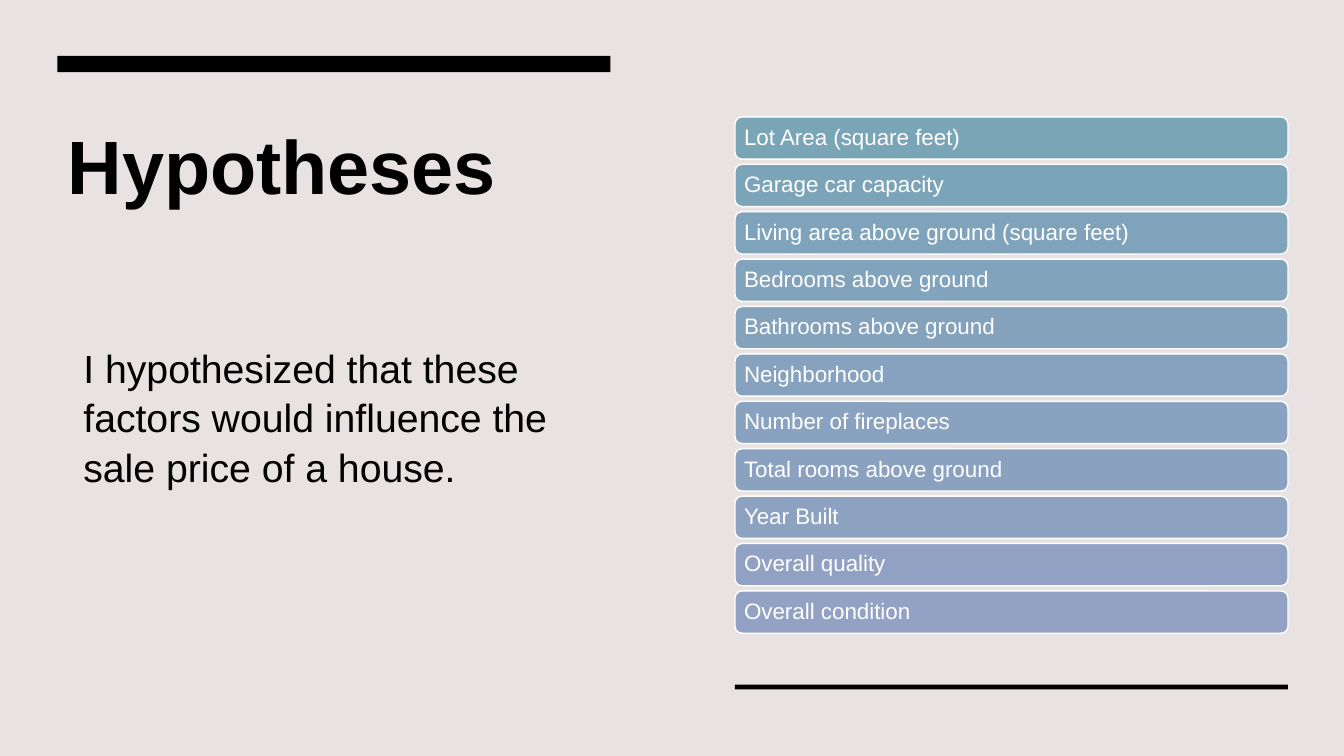
from colorsys import hls_to_rgb, rgb_to_hls
from dataclasses import dataclass

from pptx import Presentation
from pptx.dml.color import RGBColor
from pptx.enum import shapes, text
from pptx.util import Pt


@dataclass(frozen=True)
class Theme:
    """Colours, font and type sizes of the slide."""
    back: str = "E8E2E3"
    ink: str = "000000"
    light: str = "FFFFFF"
    first: str = "7AA5B7"
    last: str = "92A1C4"
    font: str = "Arial"
    title: int = 54
    body: int = 28
    label: int = 16


THEME = Theme()
LEFT, RIGHT, WIDTH = 41, 525, 395
TOP, STEP, HEIGHT = 83.5, 33.86, 30.2
FACTORS = [
    "Lot Area (square feet)",
    "Garage car capacity",
    "Living area above ground (square feet)",
    "Bedrooms above ground",
    "Bathrooms above ground",
    "Neighborhood",
    "Number of fireplaces",
    "Total rooms above ground",
    "Year Built",
    "Overall quality",
    "Overall condition",
]


def paint(fill, color):
    """Give a fill one solid colour."""
    fill.solid()
    fill.fore_color.rgb = RGBColor.from_string(color)


def blend(start, end, part):
    """Mix two colours by hue, lightness and saturation."""
    pair = [rgb_to_hls(*(v / 255 for v in RGBColor.from_string(c)))
            for c in (start, end)]
    mix = [a + (b - a) * part for a, b in zip(*pair)]
    return "".join(f"{round(v * 255):02X}" for v in hls_to_rgb(*mix))


def write(frame, words, size, color, bold=False, space=1.05):
    """Write one left-aligned paragraph as a single run."""
    frame.word_wrap = True
    para = frame.paragraphs[0]
    para.alignment = text.PP_ALIGN.LEFT
    para.line_spacing = space
    run = para.add_run()
    run.text = words
    font = run.font
    font.name, font.size, font.bold = THEME.font, Pt(size), bold
    font.color.rgb = RGBColor.from_string(color)


def place(shape, x, y, w, h):
    """Move and size a shape, in points."""
    shape.left, shape.top, shape.width, shape.height = map(Pt, (x, y, w, h))


def add_block(slide, kind, box, color):
    """Add a plain filled shape without line or shadow."""
    block = slide.shapes.add_shape(kind, *map(Pt, box))
    block.shadow.inherit = False
    paint(block.fill, color)
    block.line.fill.background()
    return block


def add_title(slide, words):
    """Fill the title placeholder."""
    title = slide.shapes.title
    place(title, LEFT, 77, WIDTH, 193)
    frame = title.text_frame
    frame.auto_size = text.MSO_AUTO_SIZE.NONE
    frame.vertical_anchor = text.MSO_ANCHOR.TOP
    frame.margin_top = Pt(5)
    write(frame, words, THEME.title, THEME.ink, bold=True)


def add_note(slide, words):
    """Add the statement under the title."""
    note = slide.shapes.add_textbox(*map(Pt, (52.5, 240.5, 403, 109)))
    write(note.text_frame, words, THEME.body, THEME.ink)


def add_factor(slide, words, top, color):
    """Add one rounded bar with its label."""
    box = (RIGHT, top, WIDTH, HEIGHT)
    bar = add_block(slide, shapes.MSO_SHAPE.ROUNDED_RECTANGLE, box, color)
    paint(bar.line.fill, THEME.light)
    bar.line.width = Pt(1)
    frame = bar.text_frame
    frame.vertical_anchor = text.MSO_ANCHOR.MIDDLE
    frame.margin_left = frame.margin_right = Pt(5)
    frame.margin_top = frame.margin_bottom = Pt(5)
    write(frame, words, THEME.label, THEME.light, space=0.9)


def main():
    """Build and save the slide."""
    deck = Presentation()
    deck.slide_width, deck.slide_height = Pt(960), Pt(540)
    slide = deck.slides.add_slide(deck.slide_layouts.get_by_name("Title Only"))
    paint(slide.background.fill, THEME.back)
    add_title(slide, "Hypotheses")
    for box in ((LEFT, 40, WIDTH, 11.5), (RIGHT, 489, WIDTH, 3.5)):
        add_block(slide, shapes.MSO_SHAPE.RECTANGLE, box, THEME.ink)
    for i, words in enumerate(FACTORS):
        color = blend(THEME.first, THEME.last, i / (len(FACTORS) - 1))
        add_factor(slide, words, TOP + i * STEP, color)
    add_note(slide, "I hypothesized that these factors would influence "
                    "the sale price of a house.")
    deck.save("out.pptx")


main()
